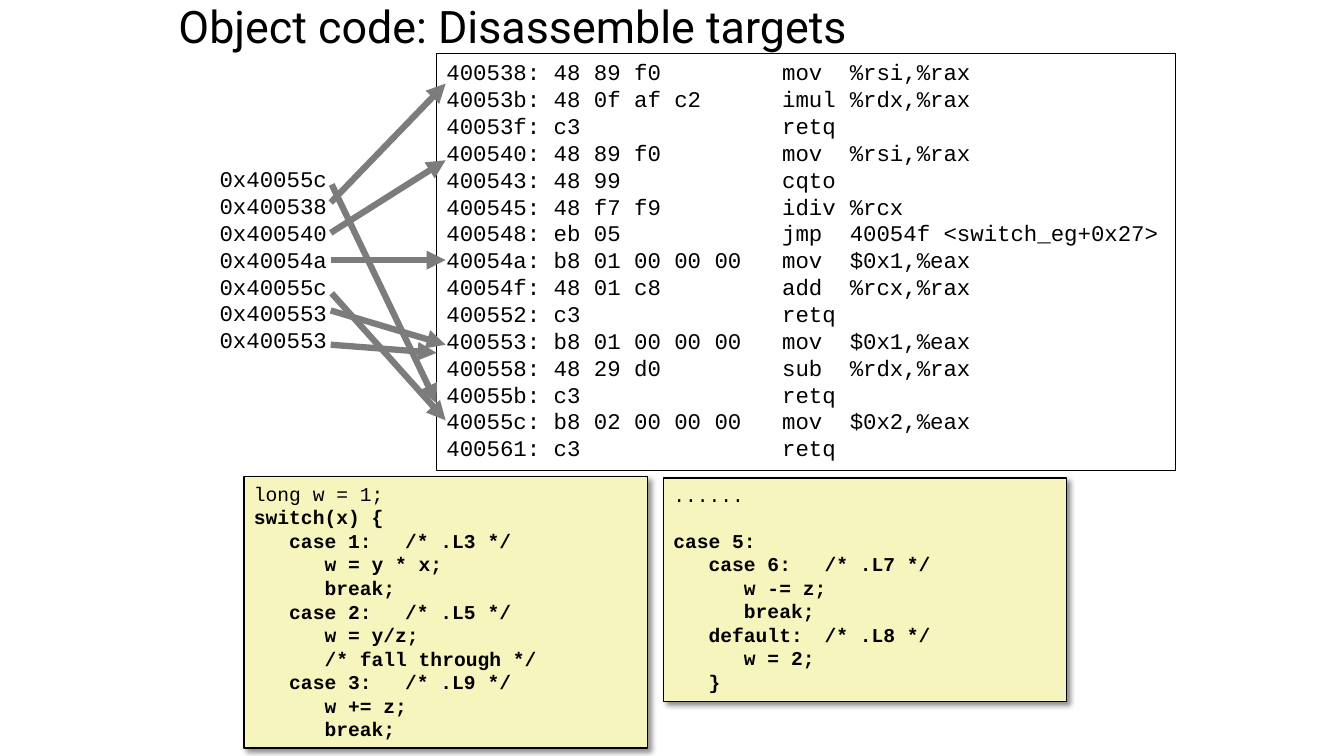
from pptx import Presentation
from pptx.dml.color import RGBColor
from pptx.enum.shapes import MSO_CONNECTOR, MSO_SHAPE
from pptx.enum.text import MSO_ANCHOR, MSO_AUTO_SIZE, PP_ALIGN
from pptx.oxml import parse_xml
from pptx.oxml.ns import nsdecls
from pptx.util import Pt

PX = 9144  # 100 px to the inch
THEME = {
    "ink": RGBColor(0x00, 0x00, 0x00),
    "arrow": RGBColor(0x7C, 0x7C, 0x7C),
    "note": RGBColor(0xF6, 0xF5, 0xBD),
    "title_font": "Roboto",
    "code_font": "Courier New",
    "title_size": 32,
    "assembly_size": 16,
    "source_size": 14,
}


def add_run(paragraph, text, size, font=THEME["code_font"], bold=False):
    run = paragraph.add_run()
    run.text = text
    run.font.name = font
    run.font.size = Pt(size)
    run.font.bold = bold
    run.font.color.rgb = THEME["ink"]


def add_panel(left, top, width, height):
    panel = slide.shapes.add_shape(
        MSO_SHAPE.RECTANGLE, left * PX, top * PX, width * PX, height * PX)
    panel.shadow.inherit = False
    panel.fill.background()
    panel.line.color.rgb = THEME["ink"]
    panel.line.width = Pt(1)
    panel.text_frame.word_wrap = True
    panel.text_frame.vertical_anchor = MSO_ANCHOR.TOP
    return panel


deck = Presentation()
deck.slide_width, deck.slide_height = 1333 * PX, 750 * PX
slide = deck.slides.add_slide(deck.slide_layouts[5])

# Title
title = slide.shapes.title
title.left, title.top, title.width, title.height = 167 * PX, 0, 997 * PX, 58 * PX
title.text_frame.auto_size = MSO_AUTO_SIZE.NONE
title.text_frame.vertical_anchor = MSO_ANCHOR.MIDDLE
heading = title.text_frame.paragraphs[0]
heading.alignment = PP_ALIGN.LEFT
heading.line_spacing = 0.9
add_run(heading, "Object code: Disassemble targets",
        THEME["title_size"], THEME["title_font"])

# Disassembly: address and bytes, mnemonic, operands
INSTRUCTIONS = [
    ("400538: 48 89 f0", "mov", "%rsi,%rax"),
    ("40053b: 48 0f af c2", "imul", "%rdx,%rax"),
    ("40053f: c3", "retq"),
    ("400540: 48 89 f0", "mov", "%rsi,%rax"),
    ("400543: 48 99", "cqto"),
    ("400545: 48 f7 f9", "idiv", "%rcx"),
    ("400548: eb 05", "jmp", "40054f <switch_eg+0x27>"),
    ("40054a: b8 01 00 00 00", "mov", "$0x1,%eax"),
    ("40054f: 48 01 c8", "add", "%rcx,%rax"),
    ("400552: c3", "retq"),
    ("400553: b8 01 00 00 00", "mov", "$0x1,%eax"),
    ("400558: 48 29 d0", "sub", "%rdx,%rax"),
    ("40055b: c3", "retq"),
    ("40055c: b8 02 00 00 00", "mov", "$0x2,%eax"),
    ("400561: c3", "retq"),
]
MNEMONIC_TAB, OPERAND_TAB = 333, 400
disassembly = add_panel(433, 53, 733, 414).text_frame
for row, instruction in enumerate(INSTRUCTIONS):
    line = disassembly.add_paragraph() if row else disassembly.paragraphs[0]
    line.alignment = PP_ALIGN.LEFT
    line._p.get_or_add_pPr().append(parse_xml(
        f'<a:tabLst {nsdecls("a")}>'
        f'<a:tab pos="{MNEMONIC_TAB * PX}" algn="l"/>'
        f'<a:tab pos="{OPERAND_TAB * PX}" algn="l"/></a:tabLst>'))
    add_run(line, "\t".join(instruction), THEME["assembly_size"])

# Jump table
TARGETS = ["0x40055c", "0x400538", "0x400540", "0x40054a",
           "0x40055c", "0x400553", "0x400553"]
jump_table = slide.shapes.add_textbox(
    208 * PX, 159 * PX, 133 * PX, 199 * PX).text_frame
jump_table.word_wrap = True
for row, target in enumerate(TARGETS):
    line = jump_table.add_paragraph() if row else jump_table.paragraphs[0]
    add_run(line, target, THEME["assembly_size"])

# Arrows from each table entry to its instruction
JUMPS = [
    (329, 183, 433, 400),
    (328, 201, 442, 83),
    (328, 231, 442, 159),
    (328, 258, 442, 258),
    (329, 291, 442, 417),
    (328, 308, 442, 342),
    (328, 342, 433, 350),
]
for jump in JUMPS:
    arrow = slide.shapes.add_connector(
        MSO_CONNECTOR.STRAIGHT, *(length * PX for length in jump))
    arrow.line.color.rgb = THEME["arrow"]
    arrow.line.width = Pt(4.5)
    arrow.line._get_or_add_ln().append(
        parse_xml(f'<a:tailEnd {nsdecls("a")} type="triangle"/>'))
    arrow._element.spPr.append(parse_xml(f'<a:effectLst {nsdecls("a")}/>'))

# Source of the switch: place, space before the second line, lines of code
SOURCE_PANELS = [
    ((658, 474, 400, 222), 16, [
        "......",
        "case 5:",
        "   case 6:\t/* .L7 */",
        "      w -= z;",
        "      break;",
        "   default:\t/* .L8 */",
        "      w = 2;",
        "   }",
    ]),
    ((242, 473, 400, 269), 0, [
        "long w = 1;",
        "switch(x) {",
        "   case 1:\t/* .L3 */",
        "      w = y * x;",
        "      break;",
        "   case 2:\t/* .L5 */",
        "      w = y/z;",
        "      /* fall through */",
        "   case 3:\t/* .L9 */",
        "      w += z;",
        "      break;",
    ]),
]
for place, gap, code in SOURCE_PANELS:
    panel = add_panel(*place)
    panel.fill.solid()
    panel.fill.fore_color.rgb = THEME["note"]
    effects = panel._element.spPr.find(
        "{http://schemas.openxmlformats.org/drawingml/2006/main}effectLst")
    effects.append(parse_xml(
        f'<a:outerShdw {nsdecls("a")} blurRad="{Pt(4)}" dist="{Pt(3)}" '
        f'dir="2700000" algn="tl" rotWithShape="0"><a:srgbClr val="{THEME["ink"]}">'
        '<a:alpha val="43000"/></a:srgbClr></a:outerShdw>'))
    for row, statement in enumerate(code):
        frame = panel.text_frame
        line = frame.add_paragraph() if row else frame.paragraphs[0]
        line.alignment = PP_ALIGN.LEFT
        if row == 1 and gap:
            line.space_before = Pt(gap)
        add_run(line, statement, THEME["source_size"], bold=row > 0)

deck.save("out.pptx")
